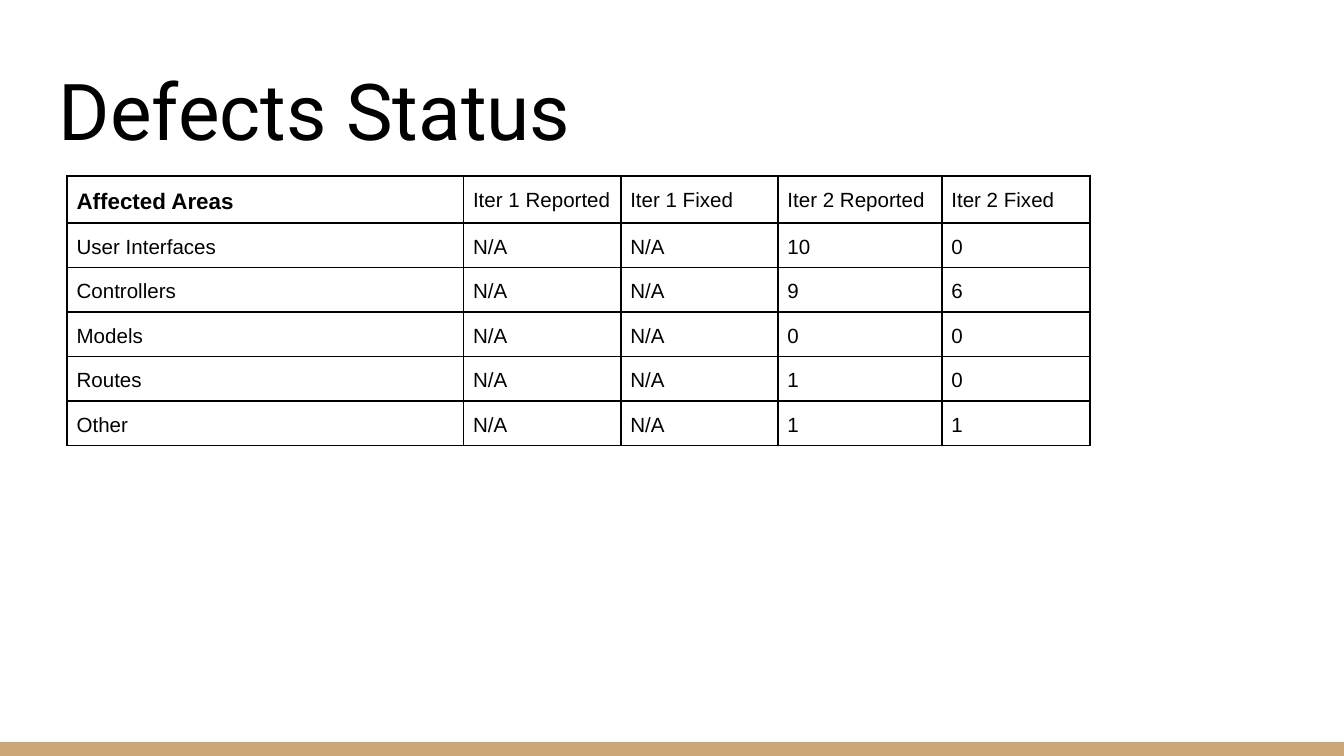
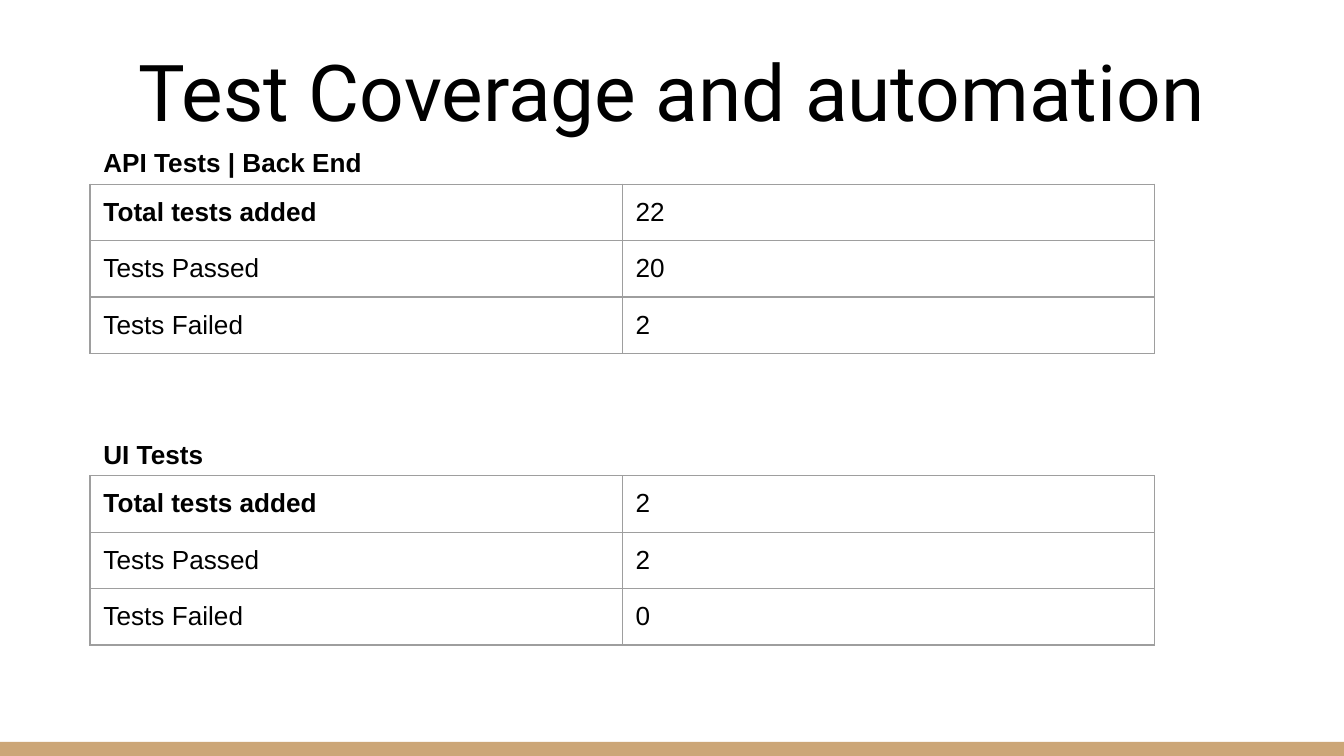
"""Build the defects status and test coverage slides."""
from dataclasses import dataclass

from lxml.etree import SubElement
from pptx import Presentation
from pptx.dml.color import RGBColor
from pptx.enum.shapes import MSO_SHAPE as Preset
from pptx.enum.text import MSO_ANCHOR as Anchor, PP_ALIGN as Align
from pptx.oxml.ns import qn
from pptx.slide import Slide
from pptx.table import _Cell as Cell
from pptx.text.text import TextFrame
from pptx.util import Inches, Pt

WHITE = RGBColor(0xFF, 0xFF, 0xFF)
BLACK = RGBColor(0x00, 0x00, 0x00)
GRAY = RGBColor(0x9E, 0x9E, 0x9E)
TAN = RGBColor(0xCC, 0xA6, 0x77)

SLIDE_WIDTH = 10
SLIDE_HEIGHT = SLIDE_WIDTH * 9 / 16
BAND_TOP, BAND_HEIGHT = 5.52, 0.11
TEST_LEFT, TEST_WIDTH, CAPTION_HEIGHT = 0.67, 7.92, 0.38


@dataclass(frozen=True)
class TableStyle:
    """Look shared by all cells of a table."""

    columns: tuple[float, ...]
    size: float
    head_size: float
    inset: float
    bottom_inset: float
    spacing: float
    border: RGBColor
    border_width: float
    head_height: float
    row_height: float


@dataclass(frozen=True)
class TestSuite:
    """Results of one group of tests."""

    caption: str
    top: float
    added: int
    passed: int
    failed: int


DEFECT_STYLE = TableStyle((2.95, 1.17, 1.17, 1.22, 1.1), 11, 12, 0.07, 0.05, 1.15,
                          BLACK, 1, 0.35, 0.33)
TEST_STYLE = TableStyle((TEST_WIDTH / 2,) * 2, 14, 14, 0.1, 0.08, 1.0,
                        GRAY, 0.75, 0.42, 0.42)

DEFECTS = [
    ("Affected Areas", "Iter 1 Reported", "Iter 1 Fixed", "Iter 2 Reported", "Iter 2 Fixed"),
    ("User Interfaces", "N/A", "N/A", "10", "0"),
    ("Controllers", "N/A", "N/A", "9", "6"),
    ("Models", "N/A", "N/A", "0", "0"),
    ("Routes", "N/A", "N/A", "1", "0"),
    ("Other", "N/A", "N/A", "1", "1"),
]
SUITES = [
    TestSuite("API Tests | Back End", 0.99, 22, 20, 2),
    TestSuite("UI Tests", 3.16, 2, 2, 0),
]


def write_text(frame: TextFrame, text: str, *, size: float, font: str = "Arial",
               bold: bool = False, align: Align = Align.LEFT, spacing: float = 1.0) -> None:
    """Write one formatted paragraph into a text frame."""
    para = frame.paragraphs[0]
    para.alignment = align
    para.line_spacing = spacing
    span = para.add_run()
    span.text = text
    span.font.name = font
    span.font.size = Pt(size)
    span.font.bold = bold
    span.font.color.rgb = BLACK


def add_text(page: Slide, text: str, left: float, top: float, width: float, height: float,
             *, anchor: Anchor = Anchor.TOP, **text_format) -> None:
    """Add a wrapping text box with even insets."""
    box = page.shapes.add_textbox(Inches(left), Inches(top), Inches(width), Inches(height))
    frame = box.text_frame
    frame.word_wrap = True
    frame.vertical_anchor = anchor
    frame.margin_left = frame.margin_right = Inches(0.1)
    frame.margin_top = frame.margin_bottom = Inches(0.1)
    write_text(frame, text, **text_format)


def add_page(deck: Presentation, title: str, title_top: float, align: Align) -> Slide:
    """Add a white slide with its title and bottom band."""
    page = deck.slides.add_slide(deck.slide_layouts[6])
    page.background.fill.solid()
    page.background.fill.fore_color.rgb = WHITE
    band = page.shapes.add_shape(Preset.RECTANGLE, 0, Inches(BAND_TOP),
                                 Inches(SLIDE_WIDTH), Inches(BAND_HEIGHT))
    band.shadow.inherit = False
    band.fill.solid()
    band.fill.fore_color.rgb = TAN
    band.line.fill.background()
    add_text(page, title, 0.34, title_top, 9.32, 0.91, anchor=Anchor.BOTTOM,
             size=42, font="Roboto", align=align)
    return page


def set_borders(cell: Cell, color: RGBColor, width: float) -> None:
    """Draw a line on all four sides of a cell."""
    properties = cell._tc.get_or_add_tcPr()
    for side in ("lnL", "lnR", "lnT", "lnB"):
        line = SubElement(properties, qn(f"a:{side}"), w=str(Pt(width)))
        fill = SubElement(line, qn("a:solidFill"))
        SubElement(fill, qn("a:srgbClr"), val=str(color))


def add_grid(page: Slide, rows: list[tuple[str, ...]], left: float, top: float,
             style: TableStyle) -> None:
    """Add a table whose first cell is bold."""
    height = style.head_height + style.row_height * (len(rows) - 1)
    table = page.shapes.add_table(len(rows), len(style.columns), Inches(left), Inches(top),
                                  Inches(sum(style.columns)), Inches(height)).table
    table.first_row = table.horz_banding = False
    for column, width in zip(table.columns, style.columns):
        column.width = Inches(width)
    for r, values in enumerate(rows):
        table.rows[r].height = Inches(style.row_height if r else style.head_height)
        for c, value in enumerate(values):
            cell = table.cell(r, c)
            is_head = r == c == 0
            cell.margin_left = cell.margin_right = cell.margin_top = Inches(style.inset)
            cell.margin_bottom = Inches(style.bottom_inset)
            set_borders(cell, style.border, style.border_width)
            cell.fill.background()
            write_text(cell.text_frame, value, bold=is_head, spacing=style.spacing,
                       size=style.head_size if is_head else style.size)


def add_suite(page: Slide, suite: TestSuite) -> None:
    """Add a caption with the test results below it."""
    rows = [
        ("Total tests added", str(suite.added)),
        ("Tests Passed", str(suite.passed)),
        ("Tests Failed", str(suite.failed)),
    ]
    add_grid(page, rows, TEST_LEFT, suite.top + CAPTION_HEIGHT, TEST_STYLE)
    add_text(page, suite.caption, TEST_LEFT, suite.top, TEST_WIDTH, CAPTION_HEIGHT,
             size=14, bold=True)


def main() -> None:
    """Build and save the deck."""
    deck = Presentation()
    deck.slide_width = Inches(SLIDE_WIDTH)
    deck.slide_height = Inches(SLIDE_HEIGHT)

    defects_page = add_page(deck, "Defects Status", 0.35, Align.LEFT)
    add_grid(defects_page, DEFECTS, 0.5, 1.31, DEFECT_STYLE)

    tests_page = add_page(deck, "Test Coverage and automation", 0.21, Align.CENTER)
    for suite in SUITES:
        add_suite(tests_page, suite)

    deck.save("out.pptx")


if __name__ == "__main__":
    main()
